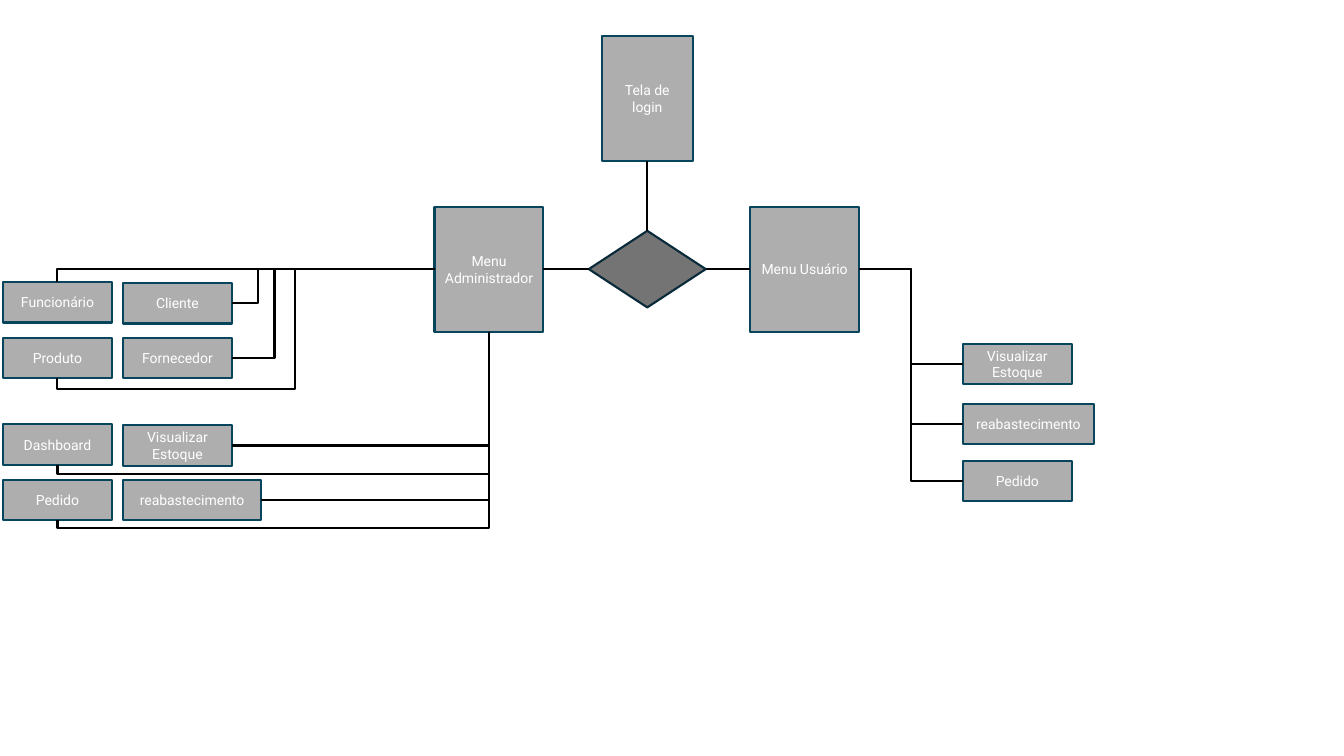
from dataclasses import dataclass

from lxml import etree
from pptx import Presentation
from pptx import util as u
from pptx.dml.color import RGBColor
from pptx.enum import shapes, text
from pptx.oxml import ns

EMU_PER_PX = 9144
TOP, LEFT, BOTTOM, RIGHT = range(4)
GREY, TEAL, WHITE, BLACK = "AEAEAE", "07455D", "FFFFFF", "000000"
DARK_GREY, NAVY = "747474", "092A39"
COLUMN_1, COLUMN_2, USER_COLUMN = 3, 122, 955
ITEM_WIDTH, ITEM_HEIGHT = 108, 40
MENU_TOP, MENU_WIDTH, MENU_HEIGHT = 205, 108, 124


@dataclass(frozen=True)
class Node:
    key: str
    label: str
    left: int
    top: int
    width: int = ITEM_WIDTH
    height: int = ITEM_HEIGHT


@dataclass(frozen=True)
class Link:
    start: str
    start_side: int
    end: str
    end_side: int
    preset: str = "line"
    bends: tuple[float, ...] = ()


NODES = [
    Node("login", "Tela de login", 597, 36, 90, MENU_HEIGHT),
    Node("user", "Menu Usuário", 744, MENU_TOP, MENU_WIDTH, MENU_HEIGHT),
    Node("admin", "Menu Administrador", 431, MENU_TOP, MENU_WIDTH, MENU_HEIGHT),
    Node("employee", "Funcionário", COLUMN_1, 280),
    Node("client", "Cliente", COLUMN_2, 281),
    Node("product", "Produto", COLUMN_1, 335),
    Node("supplier", "Fornecedor", COLUMN_2, 335),
    Node("dashboard", "Dashboard", COLUMN_1, 421),
    Node("stock", "Visualizar Estoque", COLUMN_2, 422),
    Node("order", "Pedido", COLUMN_1, 476),
    Node("restock", "reabastecimento", COLUMN_2, 476, 137),
    Node("user_stock", "Visualizar Estoque", USER_COLUMN, 341),
    Node("user_restock", "reabastecimento", USER_COLUMN, 401, 130),
    Node("user_order", "Pedido", USER_COLUMN, 457),
]
DECISION = Node("decision", "", 584, 229, 116, 76)

LINKS = [
    Link("login", BOTTOM, "decision", TOP),
    Link("decision", LEFT, "admin", RIGHT),
    Link("decision", RIGHT, "user", LEFT),
    Link("admin", LEFT, "employee", TOP, "bentConnector2"),
    Link("admin", LEFT, "client", RIGHT, "bentConnector3", (0.87,)),
    Link("admin", LEFT, "supplier", RIGHT, "bentConnector3", (0.79,)),
    Link("admin", LEFT, "product", BOTTOM, "bentConnector4", (0.37, 1.1)),
    Link("admin", BOTTOM, "order", BOTTOM, "bentConnector3", (1.04,)),
    Link("admin", BOTTOM, "restock", RIGHT, "bentConnector2"),
    Link("admin", BOTTOM, "stock", RIGHT, "bentConnector2"),
    Link("admin", BOTTOM, "dashboard", BOTTOM, "bentConnector3", (1.07,)),
] + [
    Link("user", RIGHT, item, LEFT, "bentConnector3", (0.5,))
    for item in ("user_stock", "user_restock", "user_order")
]


def px(length: int) -> int:
    return u.Emu(length * EMU_PER_PX)


def paint(target, color: str) -> None:
    if hasattr(target, "solid"):
        target.solid()
        target.fore_color.rgb = RGBColor.from_string(color)
    else:
        target.color.rgb = RGBColor.from_string(color)


def write(box, words: str, *, size: int, font: str, color: str) -> None:
    frame = box.text_frame
    frame.word_wrap = True
    frame.vertical_anchor = text.MSO_ANCHOR.MIDDLE
    para = frame.paragraphs[0]
    para.alignment = text.PP_ALIGN.CENTER
    span = para.add_run()
    span.text = words
    span.font.size = u.Pt(size)
    span.font.name = font
    paint(span.font, color)


def draw_node(page, node: Node, preset, fill: str, outline: str):
    box = page.shapes.add_shape(
        preset, px(node.left), px(node.top), px(node.width), px(node.height)
    )
    box.shadow.inherit = False
    paint(box.fill, fill)
    paint(box.line, outline)
    box.line.width = u.Pt(1.5)
    if node.label:
        write(box, node.label, size=10, font="Roboto", color=WHITE)
    return box


def turn_quarter(connector) -> None:
    center_x = connector.left + connector.width // 2
    center_y = connector.top + connector.height // 2
    width, height = connector.height, connector.width
    connector.left, connector.top = center_x - width // 2, center_y - height // 2
    connector.width, connector.height = width, height
    transform = connector.element.spPr.find(ns.qn("a:xfrm"))
    transform.attrib.pop("flipH", None)
    transform.set("rot", "5400000")


def draw_link(page, link: Link, boxes: dict) -> None:
    bent = link.preset != "line"
    kind = shapes.MSO_CONNECTOR.ELBOW if bent else shapes.MSO_CONNECTOR.STRAIGHT
    connector = page.shapes.add_connector(kind, 0, 0, 0, 0)
    connector.begin_connect(boxes[link.start], link.start_side)
    connector.end_connect(boxes[link.end], link.end_side)
    if bent and link.start_side == BOTTOM:
        turn_quarter(connector)
    paint(connector.line, BLACK)
    connector.line.width = u.Pt(1.5)
    properties = connector.element.spPr
    geometry = properties.find(ns.qn("a:prstGeom"))
    geometry.set("prst", link.preset)
    guides = geometry.find(ns.qn("a:avLst"))
    for number, bend in enumerate(link.bends, 1):
        guide = etree.SubElement(guides, ns.qn("a:gd"))
        guide.set("name", f"adj{number}")
        guide.set("fmla", f"val {round(bend * 100000)}")
    etree.SubElement(properties, ns.qn("a:effectLst"))


def main() -> None:
    deck = Presentation()
    deck.slide_width, deck.slide_height = u.Inches(13.33), u.Inches(7.5)
    page = deck.slides.add_slide(deck.slide_layouts[6])
    preset = shapes.MSO_SHAPE
    boxes = {
        node.key: draw_node(page, node, preset.RECTANGLE, GREY, TEAL)
        for node in NODES
    }
    boxes[DECISION.key] = draw_node(
        page, DECISION, preset.FLOWCHART_DECISION, DARK_GREY, NAVY
    )
    for link in LINKS:
        draw_link(page, link, boxes)
    deck.save("out.pptx")


if __name__ == "__main__":
    main()
